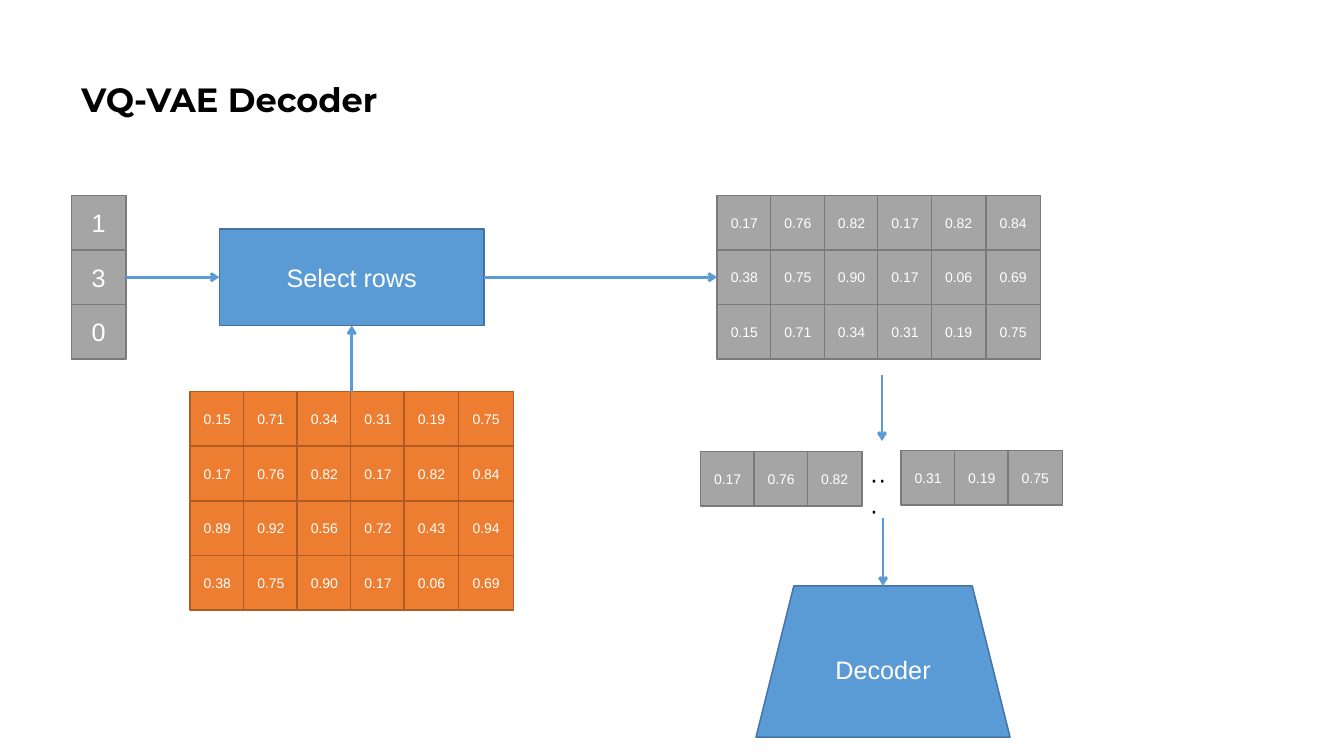
"""Build the VQ-VAE decoder slide."""
from typing import NamedTuple, Optional

from pptx import Presentation
from pptx import util as u
from pptx.dml.color import RGBColor
from pptx.enum import shapes, text
from pptx.oxml import ns
from lxml import etree

PX = 9525
WHITE = RGBColor(0xFF, 0xFF, 0xFF)
BLACK = RGBColor(0x00, 0x00, 0x00)
GREY = RGBColor(0xA5, 0xA5, 0xA5)
GREY_EDGE = RGBColor(0x7A, 0x7A, 0x7A)
ORANGE = RGBColor(0xED, 0x7D, 0x31)
ORANGE_EDGE = RGBColor(0xAF, 0x5C, 0x24)
BLUE = RGBColor(0x5B, 0x9B, 0xD5)
BLUE_EDGE = RGBColor(0x43, 0x73, 0x9E)
CELL = 52
COLS_SPAN, COLS_STEPS = 256, 5


class Look(NamedTuple):
    fill: RGBColor
    edge: RGBColor
    size: int


class Block(NamedTuple):
    label: str
    left: int
    top: int
    width: int
    height: int
    look: Look
    kind: shapes.MSO_SHAPE = shapes.MSO_SHAPE.RECTANGLE


class Grid(NamedTuple):
    left: int
    top: int
    rows: list[str]
    look: Look


class Arrow(NamedTuple):
    start: tuple[int, int]
    end: tuple[int, int]
    source: Optional[object] = None
    source_side: int = 0
    target: Optional[object] = None
    target_side: int = 0


CODE = Look(GREY, GREY_EDGE, 18)
LATENT = Look(GREY, GREY_EDGE, 10)
BOOK = Look(ORANGE, ORANGE_EDGE, 10)
STEP = Look(BLUE, BLUE_EDGE, 18)

ROW_0 = "0.15 0.71 0.34 0.31 0.19 0.75"
ROW_1 = "0.17 0.76 0.82 0.17 0.82 0.84"
ROW_2 = "0.89 0.92 0.56 0.72 0.43 0.94"
ROW_3 = "0.38 0.75 0.90 0.17 0.06 0.69"

CODES = Grid(68, 186, ["1", "3", "0"], CODE)
CODEBOOK = Grid(181, 373, [ROW_0, ROW_1, ROW_2, ROW_3], BOOK)
PICKED = Grid(683, 186, [ROW_1, ROW_3, ROW_0], LATENT)
FLAT_HEAD = Grid(667, 430, ["0.17 0.76 0.82"], LATENT)
FLAT_TAIL = Grid(858, 429, ["0.31 0.19 0.75"], LATENT)
SELECT = Block("Select rows", 209, 218, 252, 92, STEP)
DECODER = Block("Decoder", 720, 558, 242, 144, STEP, shapes.MSO_SHAPE.TRAPEZOID)


def write(frame, label: str, size: int, color: RGBColor, font: str = "Arial",
          align=text.PP_ALIGN.LEFT):
    """Add one formatted run and return it."""
    par = frame.paragraphs[0]
    par.alignment = align
    run = par.add_run()
    run.text = label
    run.font.name = font
    run.font.size = u.Pt(size)
    run.font.color.rgb = color
    return run


def draw_block(slide, block: Block):
    """Draw a filled shape with a centred label."""
    box = (n * PX for n in (block.left, block.top, block.width, block.height))
    shape = slide.shapes.add_shape(block.kind, *box)
    shape.shadow.inherit = False
    shape.fill.solid()
    shape.fill.fore_color.rgb = block.look.fill
    shape.line.color.rgb = block.look.edge
    shape.line.width = u.Pt(1)
    frame = shape.text_frame
    frame.word_wrap = True
    frame.vertical_anchor = text.MSO_ANCHOR.MIDDLE
    write(frame, block.label, block.look.size, WHITE, align=text.PP_ALIGN.CENTER)
    return shape


def draw_grid(slide, grid: Grid) -> list[list]:
    """Draw a grid of square cells and return them by row."""
    return [
        [
            draw_block(slide, Block(label, grid.left + col * COLS_SPAN // COLS_STEPS,
                                    grid.top + row * CELL, CELL, CELL, grid.look))
            for col, label in enumerate(labels.split())
        ]
        for row, labels in enumerate(grid.rows)
    ]


def draw_arrow(slide, arrow: Arrow) -> None:
    """Draw a straight arrow, joined to its shapes where given."""
    points = (n * PX for n in arrow.start + arrow.end)
    line = slide.shapes.add_connector(shapes.MSO_CONNECTOR.STRAIGHT, *points)
    if arrow.source is not None:
        line.begin_connect(arrow.source, arrow.source_side)
    if arrow.target is not None:
        line.end_connect(arrow.target, arrow.target_side)
    line.line.color.rgb = BLUE
    line.line.width = u.Pt(2)
    etree.SubElement(line.line._get_or_add_ln(), ns.qn("a:tailEnd"), type="arrow")
    etree.SubElement(line._element.spPr, ns.qn("a:effectLst"))


def draw_title(slide) -> None:
    """Place and format the title."""
    title = slide.shapes.title
    title.left, title.top, title.width, title.height = (
        n * PX for n in (68, 27, 1104, 139))
    frame = title.text_frame
    frame.auto_size = text.MSO_AUTO_SIZE.NONE
    frame.vertical_anchor = text.MSO_ANCHOR.MIDDLE
    run = write(frame, "VQ-VAE Decoder", 24, BLACK, "Montserrat")
    run.font.bold = True
    frame.paragraphs[0].line_spacing = 0.9


def draw_dots(slide) -> None:
    """Draw the dots between the two flat strips."""
    box = slide.shapes.add_textbox(*(n * PX for n in (819, 437, 42, 38)))
    box.text_frame.word_wrap = True
    write(box.text_frame, "···", 18, BLACK)


def main() -> None:
    """Build and save the slide."""
    deck = Presentation()
    deck.slide_width, deck.slide_height = 1280 * PX, 720 * PX
    slide = deck.slides.add_slide(deck.slide_layouts[5])
    draw_title(slide)
    codes = draw_grid(slide, CODES)
    draw_grid(slide, CODEBOOK)
    select = draw_block(slide, SELECT)
    picked = draw_grid(slide, PICKED)
    draw_grid(slide, FLAT_HEAD)
    draw_dots(slide)
    draw_grid(slide, FLAT_TAIL)
    decoder = draw_block(slide, DECODER)
    for arrow in (
        Arrow((120, 264), (209, 264), codes[1][0], 3, select, 1),
        Arrow((335, 373), (335, 310), target=select, target_side=2),
        Arrow((461, 264), (683, 264), select, 3, picked[1][0], 1),
        Arrow((840, 357), (840, 420)),
        Arrow((841, 493), (841, 558), target=decoder, target_side=0),
    ):
        draw_arrow(slide, arrow)
    deck.save("out.pptx")


if __name__ == "__main__":
    main()
